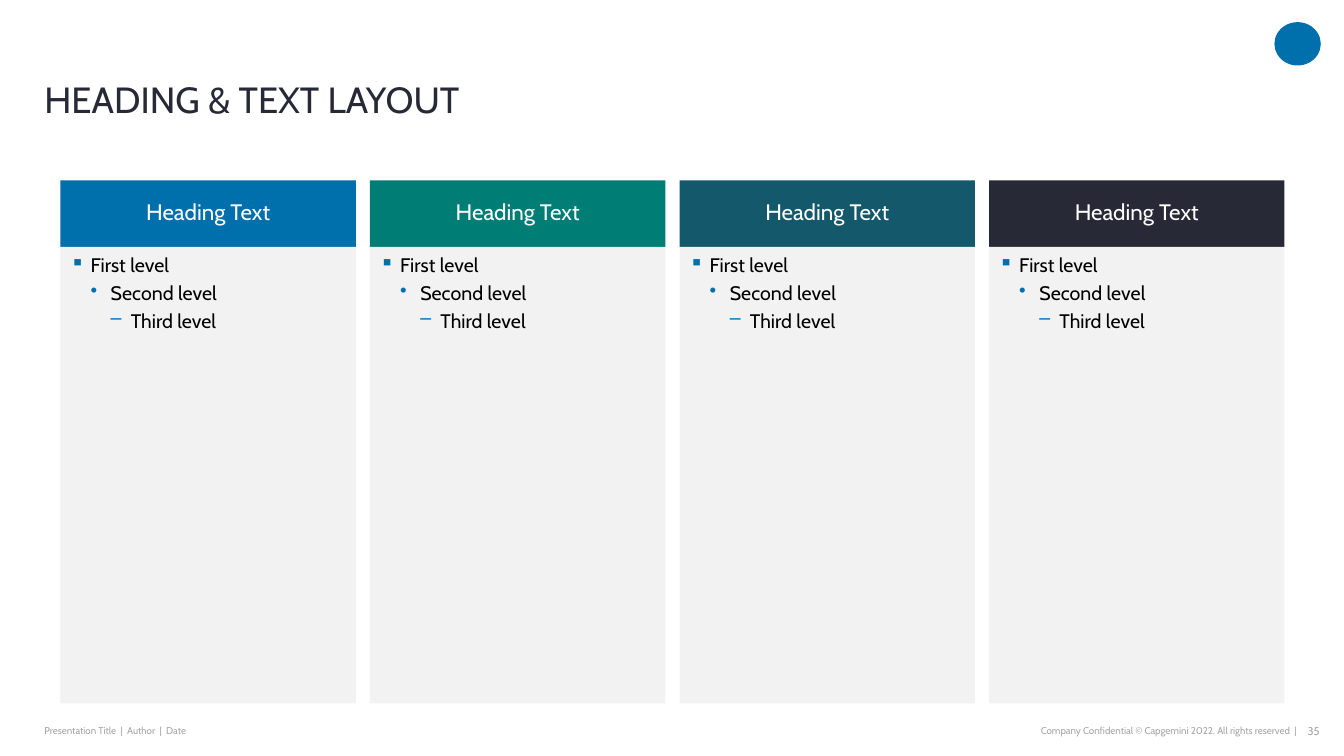
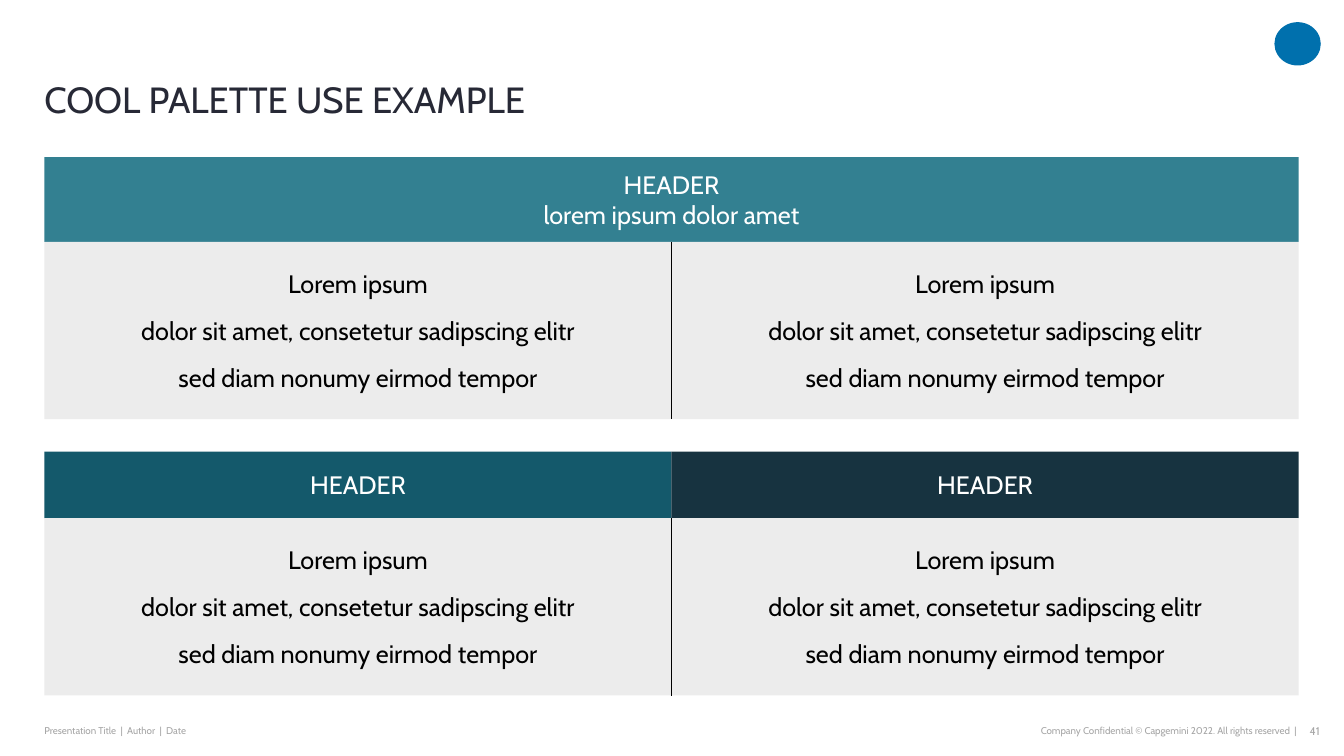
from lxml import etree
from pptx import Presentation
from pptx.dml.color import RGBColor
from pptx.enum.shapes import MSO_CONNECTOR, MSO_SHAPE
from pptx.enum.text import MSO_ANCHOR, PP_ALIGN
from pptx.oxml.ns import qn
from pptx.util import Emu, Pt

RECTANGLE, OVAL = MSO_SHAPE.RECTANGLE, MSO_SHAPE.OVAL
STRAIGHT = MSO_CONNECTOR.STRAIGHT
TOP, MIDDLE, BOTTOM = MSO_ANCHOR.TOP, MSO_ANCHOR.MIDDLE, MSO_ANCHOR.BOTTOM
LEFT, CENTER, RIGHT = PP_ALIGN.LEFT, PP_ALIGN.CENTER, PP_ALIGN.RIGHT

EMU_PER_PX = 9144
FONT = "Cabin"
COLORS = {
    "white": "FFFFFF",
    "black": "000000",
    "ink": "272936",
    "footer": "A6A6A6",
    "blue": "0070AD",
    "green": "007D74",
    "teal": "338091",
    "petrol": "14596B",
    "navy": "173340",
    "column": "F2F2F2",
    "panel": "ECECEC",
}
BULLETS = "▪•–"
INDENT = 20
MARGIN, CONTENT_WIDTH = 44, 1244


def px(length):
    return Emu(length * EMU_PER_PX)


def rgb(name):
    return RGBColor.from_string(COLORS[name])


def add_bullet(paragraph, level):
    properties = paragraph._p.get_or_add_pPr()
    properties.set("marL", str(px(INDENT * (level + 1))))
    properties.set("indent", str(-px(INDENT)))
    color = etree.SubElement(properties, qn("a:buClr"))
    etree.SubElement(color, qn("a:srgbClr"), val=COLORS["blue"])
    etree.SubElement(properties, qn("a:buChar"), char=BULLETS[level])


def write(shape, *lines, size=18, color="black", align=LEFT, anchor=TOP,
          insets=(10, 5), spacing=None, before=0, after=0, bulleted=False):
    frame = shape.text_frame
    frame.word_wrap = True
    frame.vertical_anchor = anchor
    frame.margin_left = frame.margin_right = px(insets[0])
    frame.margin_top = frame.margin_bottom = px(insets[1])
    for index, line in enumerate(lines):
        paragraph = frame.add_paragraph() if index else frame.paragraphs[0]
        paragraph.text = line
        paragraph.alignment = align
        paragraph.line_spacing = spacing
        paragraph.space_before = Pt(before if index else 0)
        paragraph.space_after = Pt(after)
        if bulleted:
            paragraph.level = index
            add_bullet(paragraph, index)
        for run in paragraph.runs:
            run.font.name = FONT
            run.font.size = Pt(size)
            run.font.color.rgb = rgb(color)


class Deck:
    def __init__(self):
        self.presentation = Presentation()
        self.presentation.slide_width = px(1333)
        self.presentation.slide_height = px(750)
        self.slide = None

    def new_slide(self, title, number):
        layout = self.presentation.slide_layouts[6]
        self.slide = self.presentation.slides.add_slide(layout)
        self.block(1264, 22, 46, 43, "blue", OVAL)
        footer = dict(color="footer", anchor=MIDDLE, insets=(0, 0))
        self.text(MARGIN, 713, 373, 24, "Presentation Title  |  Author  |  Date",
                  size=7, **footer)
        self.text(790, 713, 496, 24,
                  "Company Confidential © Capgemini 2022. All rights reserved  |",
                  size=7, align=RIGHT, **footer)
        self.text(1284, 713, 25, 24, number, size=8, align=RIGHT, **footer)
        self.text(MARGIN, 42, 1197, 78, title, size=26, color="ink",
                  anchor=BOTTOM, insets=(0, 0), spacing=0.9)

    def block(self, left, top, width, height, fill, kind=RECTANGLE):
        shape = self.slide.shapes.add_shape(
            kind, px(left), px(top), px(width), px(height))
        shape.shadow.inherit = False
        shape.fill.solid()
        shape.fill.fore_color.rgb = rgb(fill)
        shape.line.fill.background()
        return shape

    def text(self, left, top, width, height, *lines, **style):
        box = self.slide.shapes.add_textbox(
            px(left), px(top), px(width), px(height))
        write(box, *lines, **style)

    def header(self, left, top, width, height, fill, label, **style):
        band = self.block(left, top, width, height, fill)
        write(band, label, color="white", align=CENTER, anchor=MIDDLE, **style)

    def divider(self, x, top, bottom):
        line = self.slide.shapes.add_connector(
            STRAIGHT, px(x), px(top), px(x), px(bottom))
        line.line.color.rgb = rgb("black")
        line.line.width = Pt(1)
        etree.SubElement(line._element.spPr, qn("a:effectLst"))

    def column(self, left, width, fill, heading, levels):
        self.header(left, 179, width, 66, fill, heading, size=16, spacing=0.9)
        body = self.block(left, 245, width, 453, "column")
        write(body, *levels, size=14, insets=(10, 6), before=3, bulleted=True)

    def split_panel(self, top, lines):
        height, half = 176, CONTENT_WIDTH // 2
        self.block(MARGIN, top, CONTENT_WIDTH, height, "panel")
        for left in (MARGIN, MARGIN + half):
            self.text(left, top + 21, half, 135, *lines, align=CENTER, after=12)
        self.divider(MARGIN + half, top, top + height)


def build_columns(deck):
    deck.new_slide("HEADING & TEXT LAYOUT", "35")
    width, gap = 293, 14
    levels = ("First level", "Second level", "Third level")
    for index, fill in enumerate(("blue", "green", "petrol", "ink")):
        deck.column(60 + index * (width + gap), width, fill, "Heading Text", levels)


def build_palette(deck):
    deck.new_slide("COOL PALETTE USE EXAMPLE", "41")
    lines = ("Lorem ipsum", "dolor sit amet, consetetur sadipscing elitr",
             "sed diam nonumy eirmod tempor")
    deck.header(MARGIN, 156, CONTENT_WIDTH, 84, "teal",
                "HEADER\vlorem ipsum dolor amet")
    deck.split_panel(240, lines)
    half = CONTENT_WIDTH // 2
    for index, fill in enumerate(("petrol", "navy")):
        deck.header(MARGIN + index * half, 448, half, 66, fill, "HEADER")
    deck.split_panel(514, lines)


def main():
    deck = Deck()
    build_columns(deck)
    build_palette(deck)
    deck.presentation.save("out.pptx")


if __name__ == "__main__":
    main()
